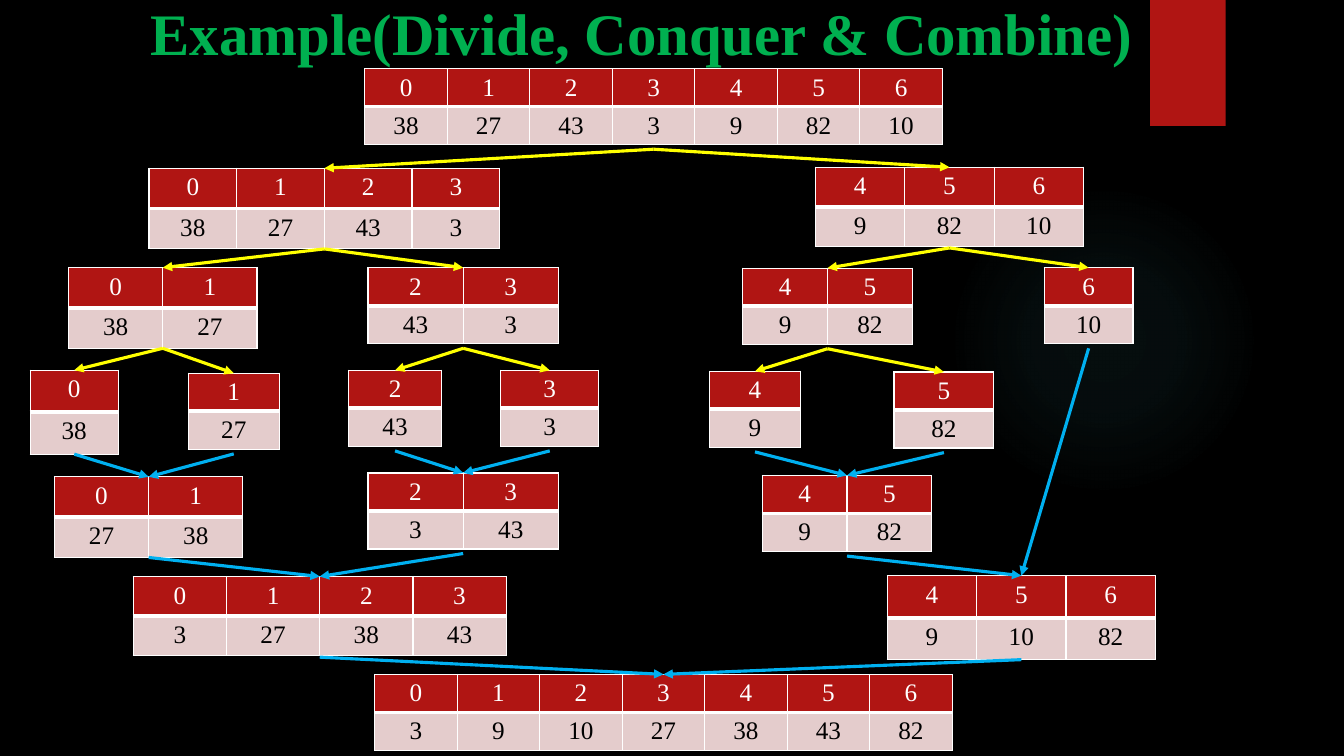
from lxml import etree
from pptx import Presentation
from pptx.dml.color import RGBColor
from pptx.enum.shapes import MSO_CONNECTOR, MSO_SHAPE
from pptx.enum.text import MSO_ANCHOR, MSO_AUTO_SIZE, PP_ALIGN
from pptx.oxml import parse_xml
from pptx.oxml.ns import nsdecls, qn
from pptx.util import Pt

STRAIGHT = MSO_CONNECTOR.STRAIGHT
CENTER = PP_ALIGN.CENTER
TOP = MSO_ANCHOR.TOP
OVAL, RECTANGLE = MSO_SHAPE.OVAL, MSO_SHAPE.RECTANGLE

BLACK = RGBColor(0x00, 0x00, 0x00)
WHITE = RGBColor(0xFF, 0xFF, 0xFF)
RED = RGBColor(0xB0, 0x15, 0x13)
PINK = RGBColor(0xE4, 0xCC, 0xCC)
GREEN = RGBColor(0x00, 0xB0, 0x50)
YELLOW = RGBColor(0xFF, 0xFF, 0x00)
BLUE = RGBColor(0x00, 0xB0, 0xF0)
FONT = "Times New Roman"
ARRAY_HEIGHT = 57.6

prs = Presentation()
prs.slide_width, prs.slide_height = Pt(960), Pt(540)
slide = prs.slides.add_slide(prs.slide_layouts[5])
slide.background.fill.solid()
slide.background.fill.fore_color.rgb = BLACK

# Background glow
glow = slide.shapes.add_shape(OVAL, Pt(677.5), Pt(131.8), Pt(221.8), Pt(221.8))
glow.shadow.inherit = False
glow.line.fill.background()
stops = "".join(
    f'<a:gs pos="{pos}"><a:srgbClr val="50B9C1"><a:alpha val="{alpha}"/></a:srgbClr></a:gs>'
    for pos, alpha in [(0, 7000), (36000, 6000), (69000, 0), (100000, 0)])
gradient = parse_xml(
    f'<a:gradFill {nsdecls("a")}><a:gsLst>{stops}</a:gsLst><a:path path="circle">'
    '<a:fillToRect l="50000" t="50000" r="50000" b="50000"/></a:path></a:gradFill>')
glow._element.spPr.find(qn("a:prstGeom")).addnext(gradient)

# Red tab
tab = slide.shapes.add_shape(RECTANGLE, Pt(821.5), Pt(0), Pt(54), Pt(90))
tab.shadow.inherit = False
tab.fill.solid()
tab.fill.fore_color.rgb = RED
tab.line.fill.background()

# Title
title = slide.shapes.title
title.left, title.top, title.width, title.height = Pt(38.9), Pt(-11.5), Pt(838.8), Pt(44)
heading = title.text_frame
heading.text = "Example(Divide, Conquer & Combine)"
heading.auto_size = MSO_AUTO_SIZE.NONE
heading.vertical_anchor = TOP
heading.margin_top, heading.margin_bottom = Pt(9), Pt(0)
line = heading.paragraphs[0]
line.alignment = CENTER
line.font.name, line.font.size, line.font.bold = FONT, Pt(42), True
line.font.color.rgb = GREEN

# Arrays: name -> (left, top, width, row height, first index, values)
arrays = {
    "unsorted": (260.6, 49, 412.6, 27, 0, [38, 27, 43, 3, 9, 82, 10]),
    "split 0-3": (106.4, 120.2, 250.6, 28.8, 0, [38, 27, 43, 3]),
    "split 4-6": (582.5, 119.5, 191.5, 28.4, 4, [9, 82, 10]),
    "split 2-3": (262.8, 191.2, 136.1, 27, 2, [43, 3]),
    "split 0-1": (49, 191.2, 134.6, 28.8, 0, [38, 27]),
    "split 4-5": (530.6, 191.5, 121, 27, 4, [9, 82]),
    "single 6": (745.9, 191.2, 63.4, 27, 6, [10]),
    "single 5": (638.6, 265.7, 71.3, 27, 5, [82]),
    "single 4": (506.9, 265.2, 64.8, 27, 4, [9]),
    "single 3": (357.6, 264.5, 70.2, 27, 3, [3]),
    "single 2": (248.9, 264.5, 66.6, 27, 2, [43]),
    "single 1": (134.6, 266.6, 64.8, 27.2, 1, [27]),
    "single 0": (21.6, 264.4, 62.9, 30, 0, [38]),
    "merged 0-1": (38.9, 340.6, 134.6, 28.8, 0, [27, 38]),
    "merged 2-3": (262.8, 337.8, 136.1, 27, 2, [3, 43]),
    "merged 4-5": (544.5, 339.6, 121, 27, 4, [9, 82]),
    "merged 0-3": (95.2, 411.8, 266.4, 28.2, 0, [3, 27, 38, 43]),
    "merged 4-6": (633.8, 411.2, 191.5, 30, 4, [9, 10, 82]),
    "sorted": (267.6, 481.7, 412.6, 27, 0, [3, 9, 10, 27, 38, 43, 82]),
}


def fill_cell(cell, number, fill, color, borders):
    cell.fill.solid()
    cell.fill.fore_color.rgb = fill
    text = cell.text_frame.paragraphs[0]
    text.text = str(number)
    text.alignment = CENTER
    text.font.name, text.font.size, text.font.bold = FONT, Pt(18), False
    text.font.color.rgb = color
    for position, (side, weight) in enumerate(zip("LRTB", borders)):
        cell._tc.get_or_add_tcPr().insert(position, parse_xml(
            f'<a:ln{side} {nsdecls("a")} w="{Pt(weight)}"><a:solidFill>'
            f'<a:srgbClr val="{WHITE}"/></a:solidFill></a:ln{side}>'))


for left, top, width, row_height, first, values in arrays.values():
    grid = slide.shapes.add_table(2, len(values), Pt(left), Pt(top),
                                  Pt(width), Pt(2 * row_height)).table
    for row in grid.rows:
        row.height = Pt(row_height)
    for i, value in enumerate(values):
        grid.columns[i].width = Pt(width / len(values))
        fill_cell(grid.cell(0, i), first + i, RED, WHITE, (1, 1, 1, 3))
        fill_cell(grid.cell(1, i), value, PINK, BLACK, (1, 1, 3, 1))

# Arrows run from the bottom centre of one array to the top centre of the next
divide = [
    ("unsorted", "split 0-3"), ("unsorted", "split 4-6"),
    ("split 0-3", "split 0-1"), ("split 0-3", "split 2-3"),
    ("split 4-6", "split 4-5"), ("split 4-6", "single 6"),
    ("split 0-1", "single 0"), ("split 0-1", "single 1"),
    ("split 2-3", "single 2"), ("split 2-3", "single 3"),
    ("split 4-5", "single 4"), ("split 4-5", "single 5"),
]
combine = [
    ("single 0", "merged 0-1"), ("single 1", "merged 0-1"),
    ("single 2", "merged 2-3"), ("single 3", "merged 2-3"),
    ("single 4", "merged 4-5"), ("single 5", "merged 4-5"),
    ("merged 0-1", "merged 0-3"), ("merged 2-3", "merged 0-3"),
    ("merged 4-5", "merged 4-6"), ("single 6", "merged 4-6"),
    ("merged 0-3", "sorted"), ("merged 4-6", "sorted"),
]
for steps, color in [(divide, YELLOW), (combine, BLUE)]:
    for source, target in steps:
        left, top, width, row_height = arrays[source][:4]
        next_left, next_top, next_width = arrays[target][:3]
        arrow = slide.shapes.add_connector(
            STRAIGHT, Pt(left + width / 2), Pt(top + max(ARRAY_HEIGHT, 2 * row_height)),
            Pt(next_left + next_width / 2), Pt(next_top))
        arrow.line.color.rgb = color
        arrow.line.width = Pt(2.25)
        etree.SubElement(arrow.line._get_or_add_ln(), qn("a:tailEnd"), type="triangle")
        etree.SubElement(arrow._element.spPr, qn("a:effectLst"))

prs.save("out.pptx")
